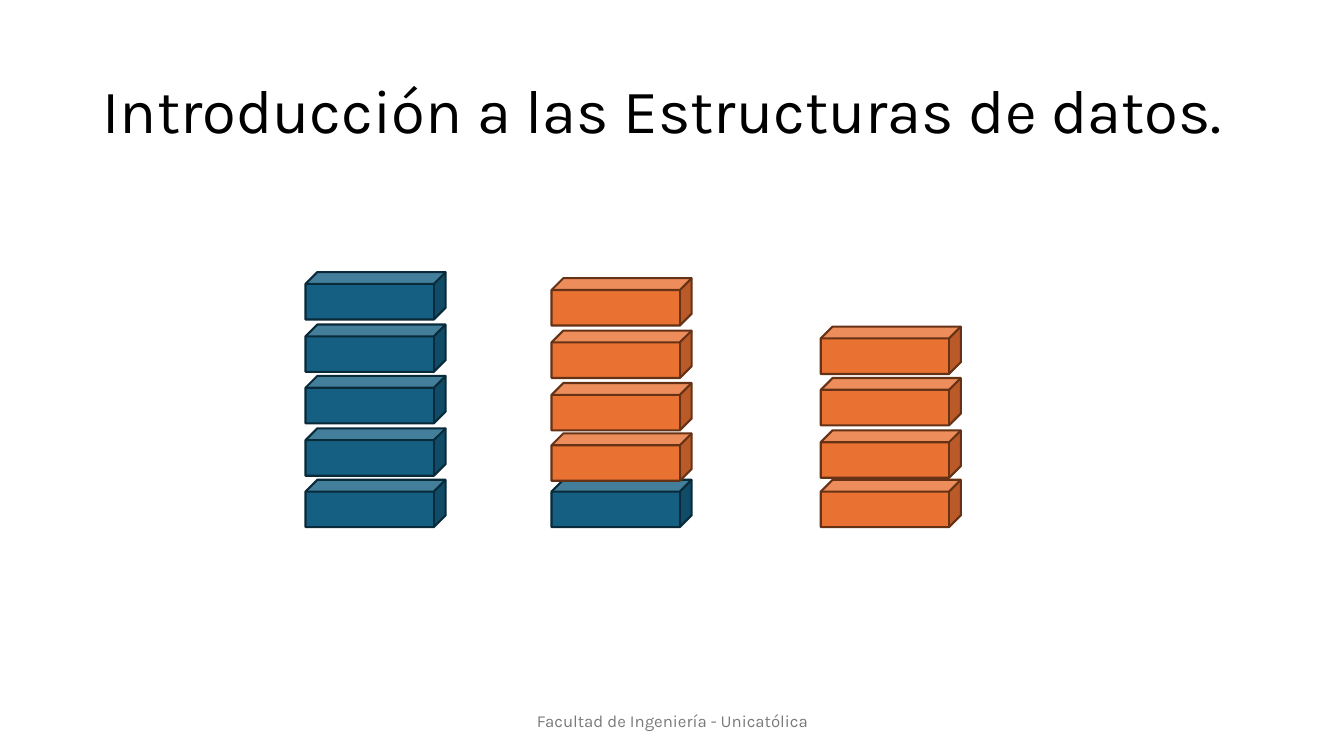
from dataclasses import dataclass

from pptx import Presentation
from pptx.dml.color import RGBColor
from pptx.enum.shapes import MSO_SHAPE
from pptx.enum.text import MSO_ANCHOR, PP_ALIGN
from pptx.util import Inches, Pt


@dataclass(frozen=True)
class Theme:
    font: str = "Karla"
    title_size: int = 44
    footer_size: int = 12
    title_color: str = "000000"
    footer_color: str = "797979"
    blue: tuple = ("156082", "092A39")  # fill, outline
    orange: tuple = ("E97132", "663216")
    outline_width: float = 1.5


theme = Theme()
presentation = Presentation()
presentation.slide_width = Inches(13.33)
presentation.slide_height = Inches(7.5)
slide = presentation.slides.add_slide(presentation.slide_layouts[6])


def add_label(text, bounds, size, color, align, line_spacing):
    frame = slide.shapes.add_textbox(*map(Inches, bounds)).text_frame
    frame.word_wrap = True
    frame.vertical_anchor = MSO_ANCHOR.MIDDLE
    paragraph = frame.paragraphs[0]
    paragraph.alignment = align
    paragraph.line_spacing = line_spacing
    run = paragraph.add_run()
    run.text = text
    run.font.name = theme.font
    run.font.size = Pt(size)
    run.font.color.rgb = RGBColor.from_string(color)


def add_block(left, top, colors):
    fill, outline = map(RGBColor.from_string, colors)
    block = slide.shapes.add_shape(
        MSO_SHAPE.CUBE, Inches(left), Inches(top), Inches(1.39), Inches(0.47))
    block.shadow.inherit = False
    block.fill.solid()
    block.fill.fore_color.rgb = fill
    block.line.color.rgb = outline
    block.line.width = Pt(theme.outline_width)


add_label("Introducción a las Estructuras de datos.", (0.92, 0.4, 11.5, 1.45),
          theme.title_size, theme.title_color, PP_ALIGN.LEFT, 0.9)
add_label("Facultad de Ingeniería - Unicatólica", (4.42, 6.95, 4.5, 0.4),
          theme.footer_size, theme.footer_color, PP_ALIGN.CENTER, 1.0)

# Each stack: left edge, block tops from the bottom up, base colour, colour above
stacks = [
    (3.03, (4.76, 4.25, 3.73, 3.22, 2.7), theme.blue, theme.blue),
    (5.47, (4.76, 4.3, 3.8, 3.28, 2.76), theme.blue, theme.orange),
    (8.14, (4.76, 4.27, 3.75, 3.24), theme.orange, theme.orange),
]
for left, tops, base_colors, upper_colors in stacks:
    for level, top in enumerate(tops):
        add_block(left, top, upper_colors if level else base_colors)

presentation.save("out.pptx")
